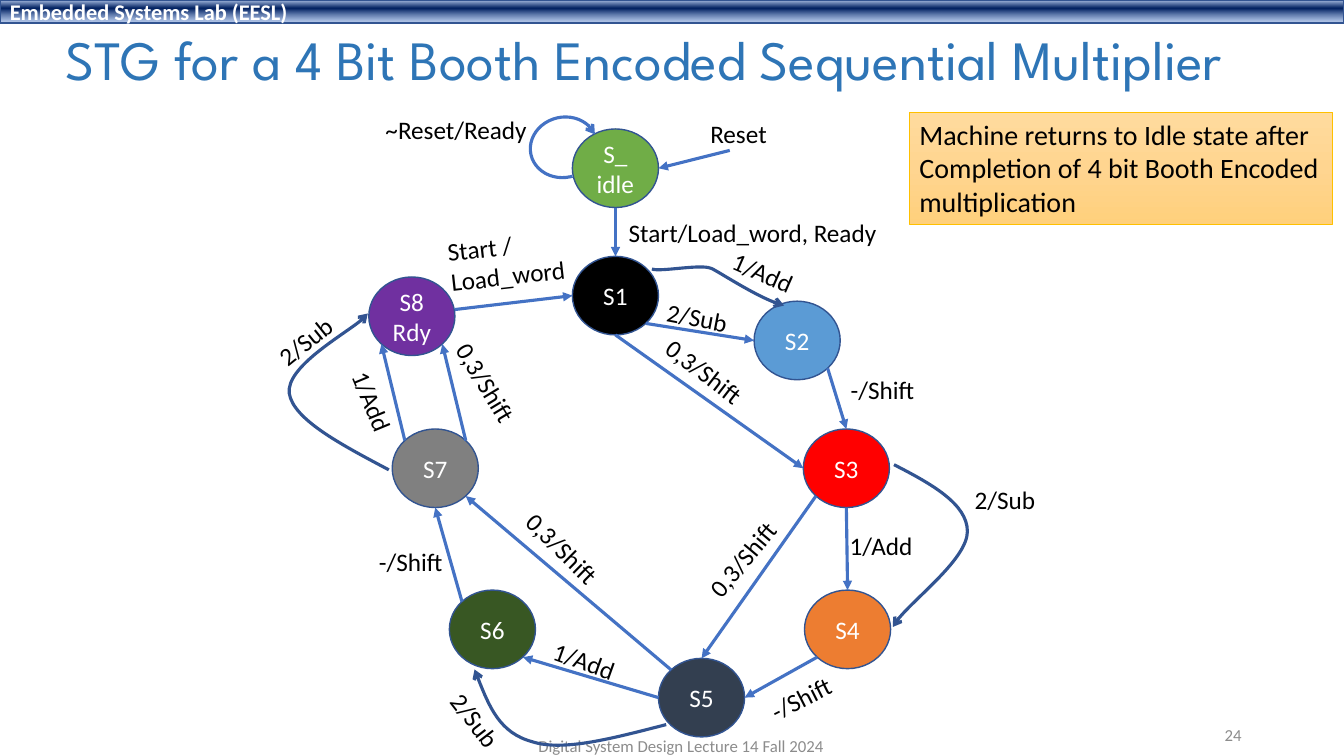
from math import cos, radians, sin

from lxml.etree import SubElement
from pptx import Presentation
from pptx.dml.color import RGBColor
from pptx.enum.shapes import MSO_CONNECTOR as Connector, MSO_SHAPE as Shape
from pptx.enum.text import MSO_ANCHOR as Anchor, MSO_AUTO_SIZE as AutoSize, PP_ALIGN as Align
from pptx.oxml.ns import qn
from pptx.util import Cm, Pt

WHITE = RGBColor(0xFF, 0xFF, 0xFF)
BLACK = RGBColor(0x00, 0x00, 0x00)
GREY = RGBColor(0x8C, 0x8C, 0x8C)
TITLE_BLUE = RGBColor(0x2E, 0x75, 0xB6)
ARROW_BLUE = RGBColor(0x44, 0x72, 0xC4)
OUTLINE_BLUE = RGBColor(0x32, 0x54, 0x91)
GOLD = RGBColor(0xFF, 0xC0, 0x00)
BAR_STOPS = [(2, RGBColor(0xAB, 0xC0, 0xE4), 100), (38, RGBColor(0x00, 0x20, 0x60), 100),
             (93, RGBColor(0x7E, 0x9E, 0xD6), 64)]
NOTE_STOPS = [(0, RGBColor(0xFF, 0xDB, 0x9E), 100), (50, RGBColor(0xFF, 0xD5, 0x90), 100),
              (100, RGBColor(0xFF, 0xD0, 0x7C), 100)]

STATE_WIDTH, STATE_HEIGHT = 2.17, 1.98
IDLE, READY = "S_\nidle", "S8\nRdy"
STATES = {
    IDLE: (9.51, 2.24, RGBColor(0x70, 0xAD, 0x47)),
    "S1": (9.51, 5.45, BLACK),
    "S2": (14.09, 6.58, RGBColor(0x5B, 0x9B, 0xD5)),
    "S3": (15.33, 9.8, RGBColor(0xFF, 0x00, 0x00)),
    "S4": (15.36, 13.86, RGBColor(0xED, 0x7D, 0x31)),
    "S5": (11.68, 15.58, RGBColor(0x33, 0x3F, 0x50)),
    "S6": (6.41, 13.86, RGBColor(0x38, 0x57, 0x23)),
    "S7": (4.97, 9.8, RGBColor(0x80, 0x80, 0x80)),
    READY: (4.38, 5.97, RGBColor(0x70, 0x30, 0xA0)),
}
RIGHT, LOWER_RIGHT, BOTTOM, LOWER_LEFT, LEFT, UPPER_LEFT, TOP, UPPER_RIGHT = range(0, 360, 45)
TRANSITIONS = [
    (IDLE, BOTTOM, "S1", TOP), ("S1", LOWER_RIGHT, "S2", LEFT), ("S1", BOTTOM, "S3", LEFT),
    ("S2", LOWER_RIGHT, "S3", TOP), ("S3", BOTTOM, "S4", TOP), ("S3", LOWER_LEFT, "S5", TOP),
    ("S4", LOWER_LEFT, "S5", RIGHT), ("S5", LEFT, "S6", LOWER_RIGHT),
    ("S5", UPPER_LEFT, "S7", LOWER_RIGHT), ("S6", UPPER_LEFT, "S7", BOTTOM),
    ("S7", UPPER_LEFT, READY, LOWER_LEFT), ("S7", UPPER_RIGHT, READY, LOWER_RIGHT),
]
RESET_START, RESTART_START = (12.39, 1.79), (5.46, 5.8)
CURVES = [
    [(10.43, 4.78), (10.64, 4.86), (11.65, 4.65), (11.91, 4.76),
     (11.98, 4.76), (13.13, 5.54), (13.76, 5.7)],
    [(16.53, 9.71), (17.47, 10.19), (18.38, 10.7), (18.38, 11.39),
     (18.38, 12.07), (16.73, 13.32), (16.5, 13.8)],
    [(10.79, 16.26), (9.49, 16.59), (8.2, 16.95), (7.41, 16.69),
     (6.6, 16.47), (6.27, 15.68), (5.96, 14.87)],
    [(3.8, 9.84), (2.59, 9.2), (1.39, 8.57), (1.29, 7.91),
     (1.21, 7.25), (3.22, 6.1), (3.27, 5.9)],
]
LABELS = {
    ("~Reset/Ready", 4.11): [(5.52, 1.27, 0)],
    ("Reset", 1.96): [(12.63, 1.36, 0)],
    ("Start/Load_word, Ready", 6.83): [(13.01, 3.87, 0)],
    ("Start /\nLoad_word", 3.43): [(6.78, 4.57, -6.4)],
    ("1/Add", 2.11): [(13.24, 4.88, 23.9), (16.22, 11.76, 0), (8.74, 14.66, 19.7),
                      (3.38, 8.13, 67.6)],
    ("2/Sub", 2.06): [(11.59, 6, 10.9), (19.34, 10.6, 0), (5.98, 16.16, 52.3),
                      (1.71, 6.59, -38.9)],
    ("0,3/Shift", 2.77): [(11.77, 7.38, 37.7), (12.73, 12.07, -49.9), (8.19, 11.84, 44.6),
                          (6.26, 7.67, 58.9)],
    ("-/Shift", 2.16): [(16.27, 7.83, 0), (14.21, 15.58, -26.8), (4.38, 12.15, 0)],
}


def write_text(shape, text, size=18, color=BLACK, font="Calibri", bold=False, align=Align.LEFT,
               anchor=Anchor.MIDDLE, wrap=True, grow=False, spacing=1.0):
    """Fill a shape with formatted paragraphs, one per line of text."""
    frame = shape.text_frame
    frame.text = text
    frame.word_wrap = wrap
    frame.auto_size = AutoSize.SHAPE_TO_FIT_TEXT if grow else AutoSize.NONE
    frame.vertical_anchor = anchor
    for paragraph in frame.paragraphs:
        paragraph.alignment = align
        paragraph.line_spacing = spacing
        paragraph.font.size = Pt(size)
        paragraph.font.name = font
        paragraph.font.bold = bold
        paragraph.font.color.rgb = color


def add_shape(slide, kind, box, outline=OUTLINE_BLUE, width=1):
    """Add an outlined shape without shadow in a box given in centimetres."""
    shape = slide.shapes.add_shape(kind, *map(Cm, box))
    shape.shadow.inherit = False
    shape.line.color.rgb = outline
    shape.line.width = Pt(width)
    return shape


def fill_gradient(shape, stops):
    """Fill a shape from top to bottom with stops of position, colour and opacity."""
    shape.fill.gradient()
    shape.fill.gradient_angle = 270
    stop_list = shape.element.spPr.find(qn("a:gradFill")).find(qn("a:gsLst"))
    stop_list.clear()
    for position, color, opacity in stops:
        stop = SubElement(stop_list, qn("a:gs"), pos=str(position * 1000))
        tint = SubElement(stop, qn("a:srgbClr"), val=str(color))
        if opacity < 100:
            SubElement(tint, qn("a:alpha"), val=str(opacity * 1000))


def add_arrowhead(shape, kind, color):
    """Style a line and put an arrowhead at its end."""
    shape.line.color.rgb = color
    shape.line.width = Pt(2.25)
    SubElement(shape.element.spPr.find(qn("a:ln")), qn("a:tailEnd"), type=kind)


def add_arrow(slide, start, end):
    """Draw a straight arrow between two points."""
    arrow = slide.shapes.add_connector(Connector.STRAIGHT, *map(Cm, start + end))
    add_arrowhead(arrow, "triangle", ARROW_BLUE)
    SubElement(arrow.element.spPr, qn("a:effectLst"))


def add_curve(slide, left, top, points):
    """Draw a curved arrow of cubic curves, each with three points after the start."""
    start, *others = [(Cm(left + x), Cm(top + y)) for x, y in points]
    builder = slide.shapes.build_freeform(*start)
    builder.add_line_segments(others, close=False)
    curve = builder.convert_to_shape()
    outline = next(curve.element.iter(qn("a:path")))
    for index, segment in enumerate(outline.findall(qn("a:lnTo"))):
        if index % 3 == 0:
            cubic = SubElement(outline, qn("a:cubicBezTo"))
        cubic.append(segment[0])
        outline.remove(segment)
    curve.shadow.inherit = False
    curve.fill.background()
    add_arrowhead(curve, "arrow", OUTLINE_BLUE)


def draw_state_graph(slide, left, top):
    """Draw states, transitions and their labels from a top left corner."""
    def place(x, y):
        return left + x, top + y

    def rim(state, angle):
        x, y, _ = STATES[state]
        return place(x + STATE_WIDTH / 2 * cos(radians(angle)),
                     y + STATE_HEIGHT / 2 * sin(radians(angle)))

    for name, (x, y, color) in STATES.items():
        corner = place(x - STATE_WIDTH / 2, y - STATE_HEIGHT / 2)
        state = add_shape(slide, Shape.OVAL, corner + (STATE_WIDTH, STATE_HEIGHT))
        state.fill.solid()
        state.fill.fore_color.rgb = color
        write_text(state, name, color=WHITE, align=Align.CENTER)
    for source, source_angle, target, target_angle in TRANSITIONS:
        add_arrow(slide, rim(source, source_angle), rim(target, target_angle))
    add_arrow(slide, place(*RESET_START), rim(IDLE, RIGHT))
    add_arrow(slide, place(*RESTART_START), rim("S1", LEFT))
    for points in CURVES:
        add_curve(slide, left, top, points)
    idle_loop = add_shape(slide, Shape.ARC, place(7.36, 0.95) + (1.7, 1.52))
    idle_loop.adjustments[0], idle_loop.adjustments[1] = 159.7, 102.03
    idle_loop.rotation = 167.3
    idle_loop.fill.background()
    add_arrowhead(idle_loop, "arrow", ARROW_BLUE)
    for (text, width), spots in LABELS.items():
        height = 1.8 if "\n" in text else 1.03
        for x, y, angle in spots:
            corner = place(x - width / 2, y - height / 2)
            label = slide.shapes.add_textbox(*map(Cm, corner + (width, height)))
            label.rotation = angle
            write_text(label, text, anchor=Anchor.TOP, wrap=False, grow=True)


def draw_header(slide, left, top, width):
    """Place the lab bar and the title below it."""
    bar = add_shape(slide, Shape.RECTANGLE, (left, top, width, 0.58))
    fill_gradient(bar, BAR_STOPS)
    write_text(bar, "Embedded Systems Lab (EESL)", size=16, color=WHITE, bold=True)
    title = slide.shapes.title
    title.left, title.top, title.width, title.height = map(Cm, (left + 1.4, top + 0.58, 30.81, 1.98))
    write_text(title, "STG for a 4 Bit Booth Encoded Sequential Multiplier",
               size=39.6, color=TITLE_BLUE, font="League Spartan", spacing=0.9)


def draw_note(slide, *box):
    """Place the highlighted remark."""
    note = add_shape(slide, Shape.RECTANGLE, box, GOLD, 0.5)
    fill_gradient(note, NOTE_STOPS)
    write_text(note, "Machine returns to Idle state after\nCompletion of 4 bit Booth Encoded\n"
               "multiplication", size=20, anchor=Anchor.TOP, wrap=False, grow=True)


def draw_footer(slide, left, top):
    """Place the course name and the slide number."""
    course = slide.shapes.add_textbox(*map(Cm, (left, top + 0.28, 11.43, 1.02)))
    write_text(course, "Digital System Design Lecture 14 Fall 2024",
               size=12, color=GREY, align=Align.CENTER)
    number = slide.shapes.add_textbox(*map(Cm, (left + 12.47, top, 7.62, 1.02)))
    write_text(number, "24", size=12, color=GREY, align=Align.RIGHT)


def main():
    """Build the slide and save it."""
    presentation = Presentation()
    presentation.slide_width, presentation.slide_height = Cm(33.87), Cm(19.05)
    slide = presentation.slides.add_slide(presentation.slide_layouts[5])
    draw_header(slide, 0, 0, 33.87)
    draw_footer(slide, 11.45, 18.01)
    draw_state_graph(slide, 6, 2)
    draw_note(slide, 22.92, 2.83, 10.67, 2.82)
    presentation.save("out.pptx")


if __name__ == "__main__":
    main()
